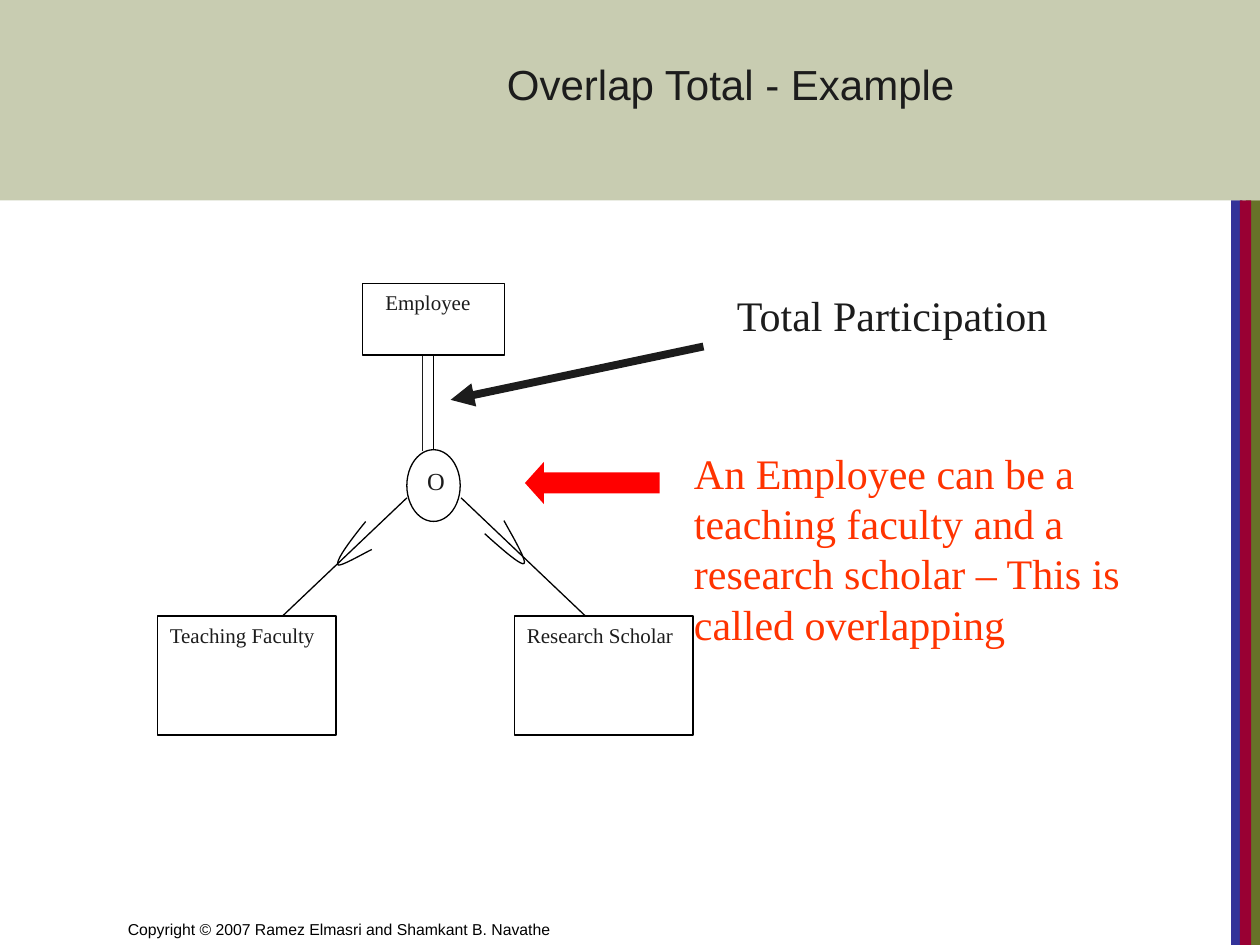
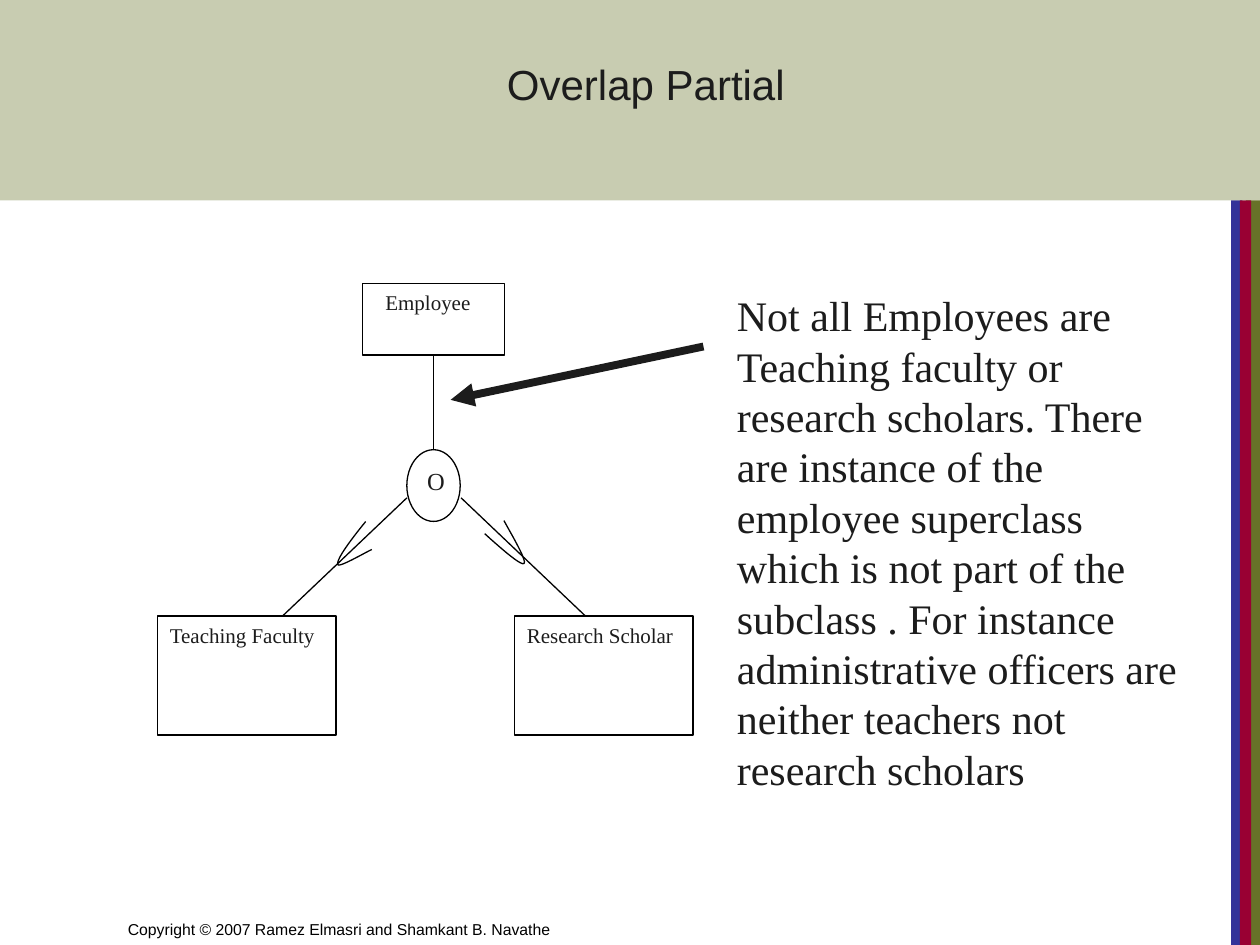
from pptx import Presentation
from pptx.dml.color import RGBColor
from pptx.enum.shapes import MSO_CONNECTOR, MSO_SHAPE as Preset
from pptx.enum.text import MSO_ANCHOR as Anchor, PP_ALIGN as Align
from pptx.oxml.ns import qn
from pptx.util import Pt
from lxml.etree import SubElement

WHITE = RGBColor(0xFF, 0xFF, 0xFF)
BLACK = RGBColor(0x00, 0x00, 0x00)
INK = RGBColor(0x1C, 0x1C, 0x1C)
OLIVE = RGBColor(0x67, 0x72, 0x28)
NAVY = RGBColor(0x33, 0x33, 0x99)
CRIMSON = RGBColor(0x99, 0x00, 0x33)
RED = RGBColor(0xFF, 0x00, 0x00)
ORANGE = RGBColor(0xFF, 0x33, 0x00)

SANS = "Arial"
SERIF = "Times New Roman"
LINE_FACTOR = 1.2
CURVE_STEPS = 10
HEADER_HEIGHT = 114.5
COPYRIGHT = "Copyright © 2007 Ramez Elmasri and Shamkant B. Navathe"

# Each inclusion mark is a start point followed by two cubic Bézier segments.
LEFT_MARK = [(209, 298), (200, 309), (192, 320), (193, 322.5),
             (193, 325), (209, 315.5), (212.5, 314)]
RIGHT_MARK = [(277, 305), (287.5, 314.5), (298, 323.5), (299.5, 322),
              (301.5, 320.5), (290, 301.5), (288, 297.5)]


def bezier_point(controls, t):
    weights = ((1 - t) ** 3, 3 * t * (1 - t) ** 2, 3 * t ** 2 * (1 - t), t ** 3)
    return tuple(sum(w * c[axis] for w, c in zip(weights, controls)) for axis in (0, 1))


class Slides:
    """Holds the deck, the shared style and the current page."""

    def __init__(self):
        self.deck = Presentation()
        self.deck.slide_width, self.deck.slide_height = Pt(720), Pt(540)
        self.page = None

    def start(self, title):
        self.page = self.deck.slides.add_slide(self.deck.slide_layouts[5])
        stripe_height = 540 - HEADER_HEIGHT
        for left, width, color in ((712, 8, OLIVE), (703.5, 6.5, NAVY), (708.5, 6.5, CRIMSON)):
            self.shape(Preset.RECTANGLE, left, HEADER_HEIGHT, width, stripe_height, color)
        header = self.shape(Preset.RECTANGLE, 0, 0, 720, HEADER_HEIGHT, OLIVE)
        tint = next(header._element.spPr.iter(qn("a:srgbClr")))
        SubElement(tint, qn("a:alpha"), val="36000")
        self.text(COPYRIGHT, 66, 504, 354, 36, 9, SANS, BLACK, Anchor.BOTTOM)

        box = self.page.shapes.title
        box.left, box.top, box.width, box.height = Pt(282.5), Pt(30), Pt(400), Pt(36)
        self.fill_text(box, title, 24, SANS)
        self.page.shapes._spTree.append(box._element)  # bring in front of the header

    def fill_text(self, box, words, size, font=SERIF, color=INK, anchor=Anchor.TOP,
                  align=Align.LEFT):
        frame = box.text_frame
        frame.word_wrap = True
        frame.vertical_anchor = anchor
        para = frame.paragraphs[0]
        para.text = words
        para.alignment = align
        para.line_spacing = Pt(size * LINE_FACTOR)
        para.font.size, para.font.name = Pt(size), font
        para.font.color.rgb = color

    def text(self, words, left, top, width, height, size=24, font=SERIF, color=INK,
             anchor=Anchor.TOP):
        box = self.page.shapes.add_textbox(Pt(left), Pt(top), Pt(width), Pt(height))
        self.fill_text(box, words, size, font, color, anchor)

    def shape(self, preset, left, top, width, height, fill):
        shape = self.page.shapes.add_shape(preset, Pt(left), Pt(top), Pt(width), Pt(height))
        shape.shadow.inherit = False
        shape.fill.solid()
        shape.fill.fore_color.rgb = fill
        shape.line.fill.background()
        return shape

    def outline(self, shape):
        shape.line.color.rgb = BLACK
        shape.line.width = Pt(0.75)

    def node(self, words, left, top, width, height, preset=Preset.RECTANGLE, size=12,
             align=Align.LEFT, indent=7.2):
        node = self.shape(preset, left, top, width, height, WHITE)
        self.outline(node)
        self.fill_text(node, words, size, align=align)
        node.text_frame.margin_left = Pt(indent)
        return node

    def line(self, start, end, color=BLACK, weight=0.75, arrow=False):
        link = self.page.shapes.add_connector(
            MSO_CONNECTOR.STRAIGHT, *(Pt(value) for value in (*start, *end)))
        link.line.color.rgb = color
        link.line.width = Pt(weight)
        if arrow:
            SubElement(link.line._get_or_add_ln(), qn("a:tailEnd"), type="triangle")
        SubElement(link._element.spPr, qn("a:effectLst"))
        return link

    def curve(self, points):
        """Draw an open outline through consecutive cubic segments."""
        steps = [step / CURVE_STEPS for step in range(1, CURVE_STEPS + 1)]
        track = [bezier_point(points[first:first + 4], t)
                 for first in range(0, len(points) - 1, 3) for t in steps]
        builder = self.page.shapes.build_freeform(*(Pt(value) for value in points[0]))
        builder.add_line_segments([(Pt(x), Pt(y)) for x, y in track], close=False)
        mark = builder.convert_to_shape()
        mark.shadow.inherit = False
        mark.fill.background()
        self.outline(mark)

    def hierarchy(self):
        """Draw the employee superclass, its overlap circle and two subclasses."""
        employee = self.node("Employee", 207, 162, 81.5, 41, indent=13.2)
        self.node("Teaching Faculty", 90, 352, 102, 68)
        self.node("Research Scholar", 294, 352, 102, 68)
        overlap = self.node("O", 232.5, 257, 30.5, 41, Preset.OVAL, 14, Align.CENTER)
        stem = self.line((247.75, 203), (247.75, 257))
        stem.begin_connect(employee, 2)
        stem.end_connect(overlap, 0)
        self.line((232.5, 284.5), (161.5, 352))
        self.line((263.5, 284.5), (334.5, 352))
        self.curve(LEFT_MARK)
        self.curve(RIGHT_MARK)
        self.line((402, 198), (257.5, 228.5), INK, 4.5, arrow=True)


def main():
    slides = Slides()

    slides.start("Overlap Total - Example")
    pointer = slides.shape(Preset.LEFT_ARROW, 300, 264, 77, 24, RED)
    pointer.adjustments[1] = 0.45
    slides.text("An Employee can be a teaching faculty and a research scholar – "
                "This is called overlapping", 389.5, 252, 271, 122, color=ORANGE)
    slides.hierarchy()
    slides.line((241.5, 203.5), (241.5, 258), INK)
    slides.text("Total Participation", 414, 162, 198, 36)

    slides.start("Overlap Partial")
    slides.hierarchy()
    slides.text("Not all Employees are Teaching faculty or research scholars. "
                "There are instance of the employee superclass which is not part of "
                "the subclass . For instance administrative officers are neither "
                "teachers not research scholars", 414, 162, 270, 294.5)

    slides.deck.save("out.pptx")


if __name__ == "__main__":
    main()
